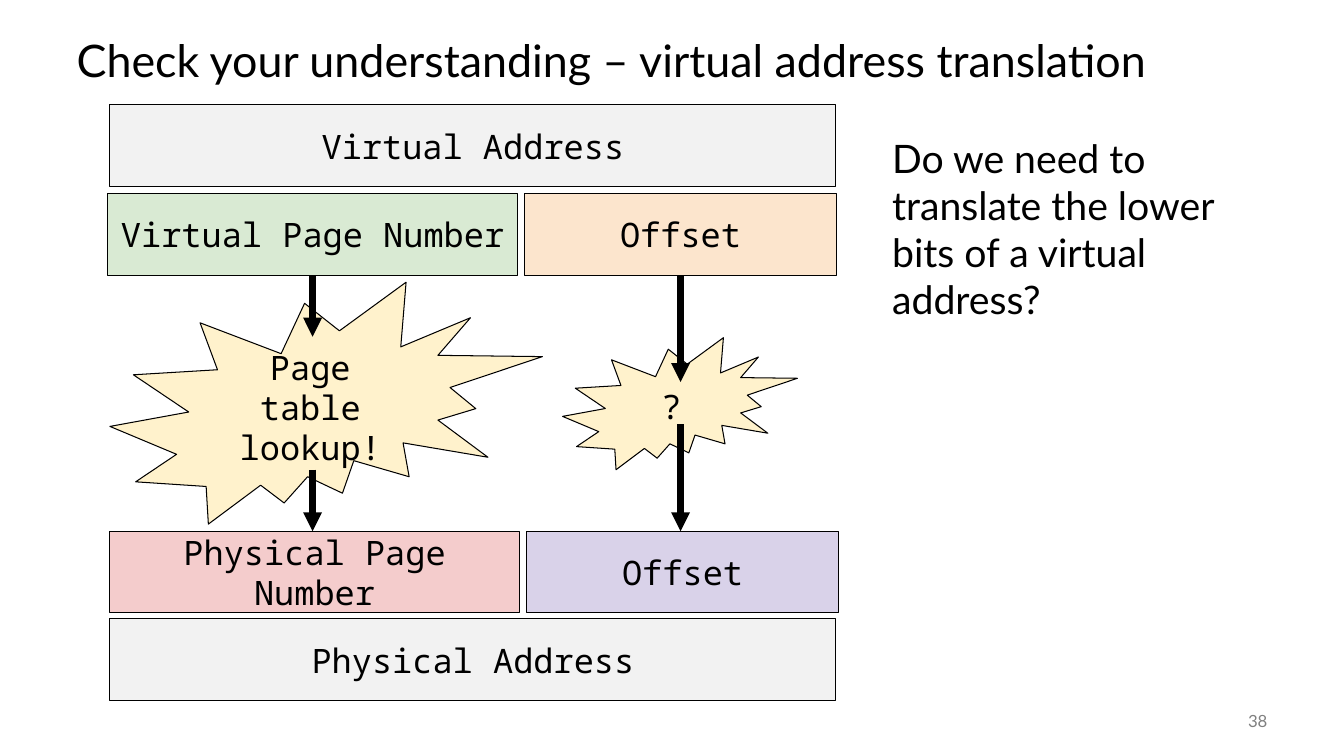
from lxml.etree import SubElement
from pptx import Presentation
from pptx.dml.color import RGBColor
from pptx.enum.shapes import MSO_CONNECTOR, MSO_SHAPE
from pptx.enum.text import MSO_ANCHOR, MSO_AUTO_SIZE, PP_ALIGN
from pptx.oxml.ns import qn
from pptx.util import Pt

PX = 9144  # EMU: 100 px to the inch
BLACK = RGBColor(0x00, 0x00, 0x00)
GRAY = RGBColor(0x80, 0x80, 0x80)
PALE = RGBColor(0xF2, 0xF2, 0xF2)
GREEN = RGBColor(0xD9, 0xEA, 0xD3)
ORANGE = RGBColor(0xFC, 0xE5, 0xCD)
PINK = RGBColor(0xF4, 0xCC, 0xCC)
PURPLE = RGBColor(0xD9, 0xD2, 0xE9)
YELLOW = RGBColor(0xFF, 0xF2, 0xCC)
SANS, MONO = "Lato", "Noto Sans Mono"


def scale(*nums):
    return [n * PX for n in nums]


def write(frame, text, size, face, align, anchor, color=BLACK):
    """Put one formatted paragraph into a text frame."""
    frame.word_wrap = True
    frame.auto_size = MSO_AUTO_SIZE.NONE
    frame.vertical_anchor = anchor
    para = frame.paragraphs[0]
    para.alignment = align
    run = para.add_run()
    run.text = text
    run.font.size = Pt(size)
    run.font.name = face
    run.font.color.rgb = color
    return para


deck = Presentation()
deck.slide_width, deck.slide_height = scale(1333, 750)
slide = deck.slides.add_slide(deck.slide_layouts[5])
shapes = slide.shapes

title = shapes.title
title.left, title.top, title.width, title.height = scale(66, 25, 1200, 75)
head = write(title.text_frame, "Check your understanding – virtual address translation",
             32, SANS, PP_ALIGN.LEFT, MSO_ANCHOR.MIDDLE)
head.line_spacing = 0.9

# Address fields and the two translation bursts
RECT, BURST = MSO_SHAPE.RECTANGLE, MSO_SHAPE.EXPLOSION2
parts = [
    (BURST, "?", YELLOW, 558, 335, 233, 131),
    (BURST, "Page table lookup!", YELLOW, 109, 280, 429, 240),
    (RECT, "Virtual Address", PALE, 109, 104, 720, 81),
    (RECT, "Virtual Page Number", GREEN, 107, 192, 406, 81),
    (RECT, "Offset", ORANGE, 520, 192, 310, 81),
    (RECT, "Physical Page Number", PINK, 109, 527, 406, 81),
    (RECT, "Offset", PURPLE, 522, 527, 310, 81),
    (RECT, "Physical Address", PALE, 109, 614, 720, 81),
]
for kind, text, fill, *area in parts:
    part = shapes.add_shape(kind, *scale(*area))
    part.shadow.inherit = False
    part.fill.solid()
    part.fill.fore_color.rgb = fill
    part.line.color.rgb = BLACK
    part.line.width = Pt(0.75)
    frame = part.text_frame
    frame.margin_left = frame.margin_right = 10 * PX
    frame.margin_top = frame.margin_bottom = 10 * PX
    write(frame, text, 24, MONO, PP_ALIGN.CENTER, MSO_ANCHOR.MIDDLE)

# Arrows into and out of each burst
for x, start, end in [(310, 273, 334), (310, 466, 527),
                      (675, 273, 379), (675, 421, 527)]:
    arrow = shapes.add_connector(MSO_CONNECTOR.STRAIGHT, *scale(x, start, x, end))
    arrow.line.color.rgb = BLACK
    arrow.line.width = Pt(4.5)
    SubElement(arrow.line._get_or_add_ln(), qn("a:tailEnd"), type="triangle")
    SubElement(arrow._element.spPr, qn("a:effectLst"))

ask = shapes.add_textbox(*scale(875, 128, 342, 199))
write(ask.text_frame, "Do we need to translate the lower bits of a virtual address?",
      28, SANS, PP_ALIGN.LEFT, MSO_ANCHOR.TOP)

page = shapes.add_textbox(*scale(1167, 695, 100, 40))
write(page.text_frame, "38", 12, SANS, PP_ALIGN.RIGHT, MSO_ANCHOR.MIDDLE, GRAY)

deck.save("out.pptx")
